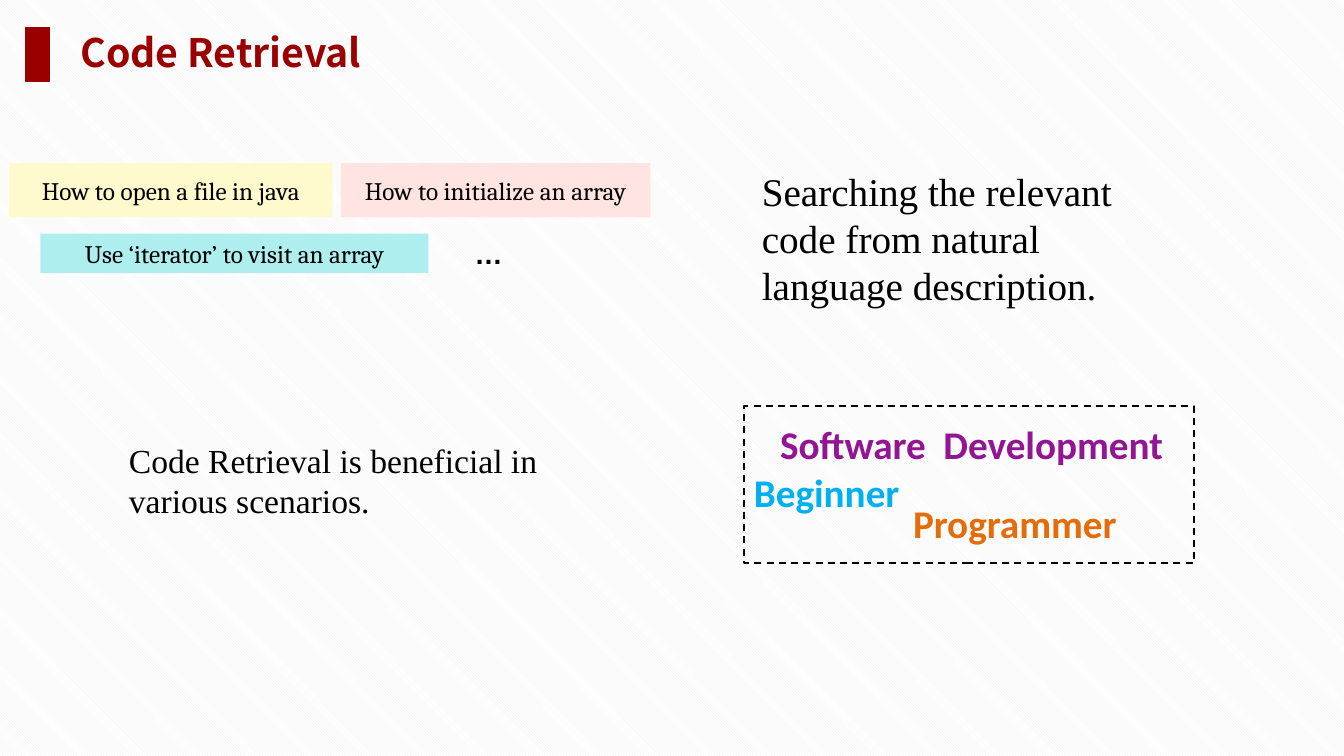
from dataclasses import dataclass
from typing import Any

import pptx
import pptx.dml.color
import pptx.enum.dml
import pptx.enum.shapes
import pptx.enum.text
import pptx.util

Cm = pptx.util.Cm
COLOURS = {
    "accent": "9B0000",
    "black": "000000",
    "white": "FFFFFF",
    "stripe": "EBEBEB",
    "yellow": "FFFACD",
    "pink": "FFE4E1",
    "turquoise": "AFEEEE",
    "blue": "00B0F0",
    "orange": "E46C0A",
    "purple": "921593",
}


@dataclass(frozen=True)
class Box:
    left: float
    top: float
    width: float
    height: float

    def lengths(self) -> tuple:
        return Cm(self.left), Cm(self.top), Cm(self.width), Cm(self.height)


@dataclass(frozen=True)
class Query:
    text: str
    box: Box
    fill: str


@dataclass(frozen=True)
class Label:
    text: str
    box: Box
    font: str
    size: int
    colour: str = "black"
    bold: bool = False
    wrap: bool = False
    word_gap: int = 0


QUERIES = [
    Query("How to open a file in java", Box(0.23, 4.11, 8.15, 1.37), "yellow"),
    Query("How to initialize an array", Box(8.59, 4.11, 7.8, 1.37), "pink"),
    Query("Use ‘iterator’ to visit an array", Box(1.02, 5.89, 9.78, 0.99), "turquoise"),
]
STATEMENTS = [
    Label("…", Box(11.71, 5.84, 1.09, 1.12), "Arial", 20, bold=True),
    Label("Searching the relevant code from natural language description.",
          Box(18.95, 4.09, 9.6, 3.84), "Times New Roman", 28, wrap=True),
    Label("Code Retrieval is beneficial in various scenarios.",
          Box(3, 10.95, 12.73, 2.31), "Times New Roman", 24, wrap=True),
]
AUDIENCES = [
    Label("Beginner", Box(18.75, 11.68, 4.42, 1.45), "Calibri", 28, "blue", True),
    Label("Programmer", Box(22.76, 12.45, 5.97, 1.45), "Calibri", 28, "orange", True),
    Label("Software Development", Box(19.41, 10.46, 10.69, 1.45),
          "Calibri", 28, "purple", True, word_gap=630),
]
AUDIENCE_FRAME = Box(18.75, 10.24, 11.35, 3.94)


def colour_of(name: str) -> pptx.dml.color.RGBColor:
    return pptx.dml.color.RGBColor.from_string(COLOURS[name])


def apply_format(target: Any, values: dict) -> None:
    for name, value in values.items():
        setattr(target, name, value)


def format_font(font: Any, name: str, size: int, colour: str, bold: bool = False) -> None:
    apply_format(font, {"name": name, "size": pptx.util.Pt(size), "bold": bold})
    font.color.rgb = colour_of(colour)


def add_rectangle(shapes: Any, box: Box, fill: str = "") -> Any:
    shape = shapes.add_shape(pptx.enum.shapes.MSO_SHAPE.RECTANGLE, *box.lengths())
    shape.shadow.inherit = False
    shape.line.fill.background()
    if fill:
        shape.fill.solid()
        shape.fill.fore_color.rgb = colour_of(fill)
    else:
        shape.fill.background()
    return shape


def add_query(shapes: Any, query: Query) -> None:
    frame = add_rectangle(shapes, query.box, query.fill).text_frame
    apply_format(frame, {"text": query.text, "word_wrap": True,
                         "vertical_anchor": pptx.enum.text.MSO_ANCHOR.MIDDLE})
    paragraph = frame.paragraphs[0]
    paragraph.alignment = pptx.enum.text.PP_ALIGN.CENTER
    format_font(paragraph.runs[0].font, "Cambria", 18, "black")


def add_label(shapes: Any, label: Label) -> None:
    frame = shapes.add_textbox(*label.box.lengths()).text_frame
    apply_format(frame, {"word_wrap": label.wrap,
                         "auto_size": pptx.enum.text.MSO_AUTO_SIZE.SHAPE_TO_FIT_TEXT})
    pieces = label.text.partition(" ") if label.word_gap else (label.text,)
    for piece in pieces:
        run = frame.paragraphs[0].add_run()
        run.text = piece
        format_font(run.font, label.font, label.size, label.colour, label.bold)
        if piece == " ":
            run.font._element.set("spc", str(label.word_gap))


def add_title(slide: Any) -> None:
    title = slide.shapes.title
    left, top, width, height = Box(1.78, 0.69, 31.22, 1.37).lengths()
    apply_format(title, {"left": left, "top": top, "width": width, "height": height})
    apply_format(title.text_frame, {
        "text": "Code Retrieval", "word_wrap": True,
        "auto_size": pptx.enum.text.MSO_AUTO_SIZE.NONE,
        "vertical_anchor": pptx.enum.text.MSO_ANCHOR.MIDDLE,
        "margin_left": Cm(0.25), "margin_top": 0, "margin_right": 0, "margin_bottom": 0,
    })
    paragraph = title.text_frame.paragraphs[0]
    apply_format(paragraph, {"alignment": pptx.enum.text.PP_ALIGN.LEFT, "line_spacing": 0.9})
    format_font(paragraph.runs[0].font, "Noto Sans CJK SC", 28, "accent", True)


def add_audiences(slide: Any) -> None:
    group = slide.shapes.add_group_shape()
    for label in AUDIENCES:
        add_label(group.shapes, label)
    frame = add_rectangle(group.shapes, AUDIENCE_FRAME)
    frame.line.color.rgb = colour_of("black")
    apply_format(frame.line, {"width": pptx.util.Pt(1.25),
                              "dash_style": pptx.enum.dml.MSO_LINE.DASH})


def main() -> None:
    presentation = pptx.Presentation()
    apply_format(presentation, {"slide_width": Cm(33.87), "slide_height": Cm(19.05)})
    slide = presentation.slides.add_slide(presentation.slide_layouts[5])
    background = slide.background.fill
    background.patterned()
    background.pattern = pptx.enum.dml.MSO_PATTERN.DARK_DOWNWARD_DIAGONAL
    background.fore_color.rgb = colour_of("stripe")
    background.back_color.rgb = colour_of("white")

    add_title(slide)
    bar = add_rectangle(slide.shapes, Box(0.64, 0.69, 0.61, 1.37), "accent")
    bar.line.color.rgb = colour_of("accent")
    bar.line.width = pptx.util.Pt(1)
    for query in QUERIES:
        add_query(slide.shapes, query)
    for statement in STATEMENTS:
        add_label(slide.shapes, statement)
    add_audiences(slide)
    presentation.save("out.pptx")


if __name__ == "__main__":
    main()
